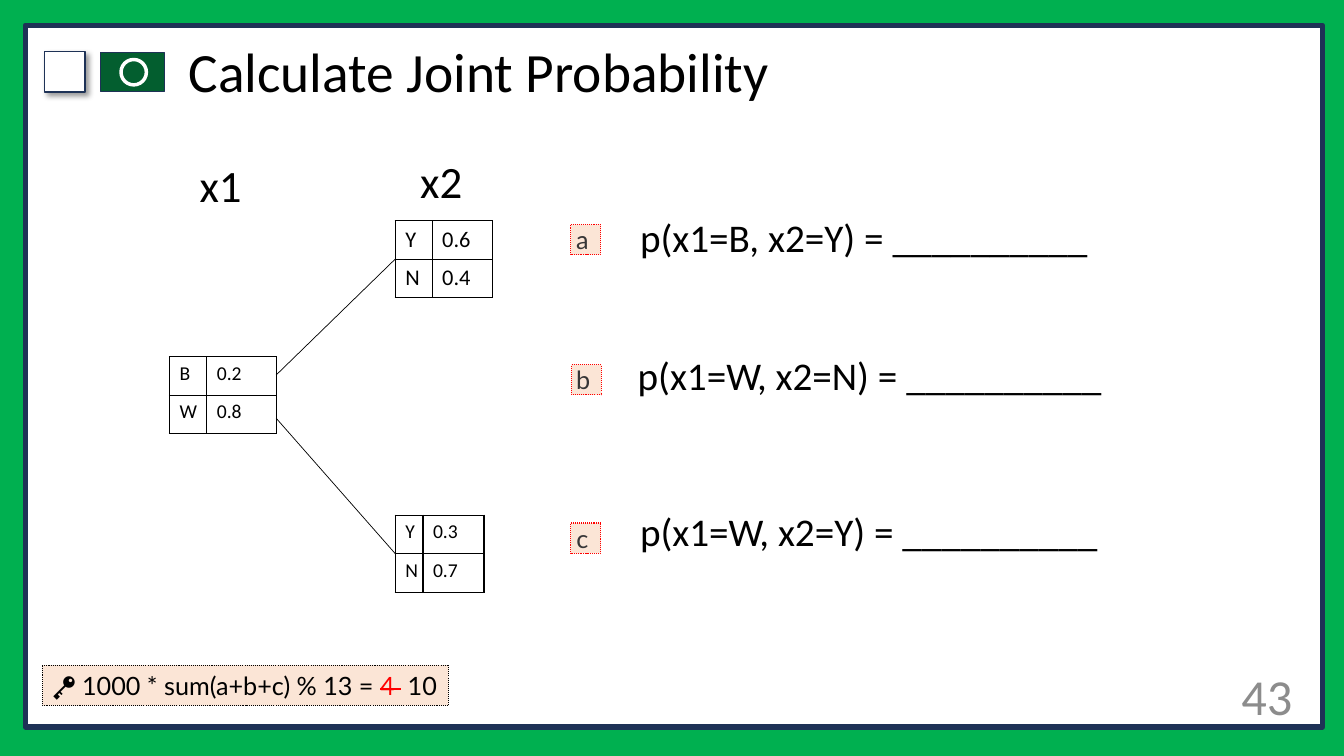
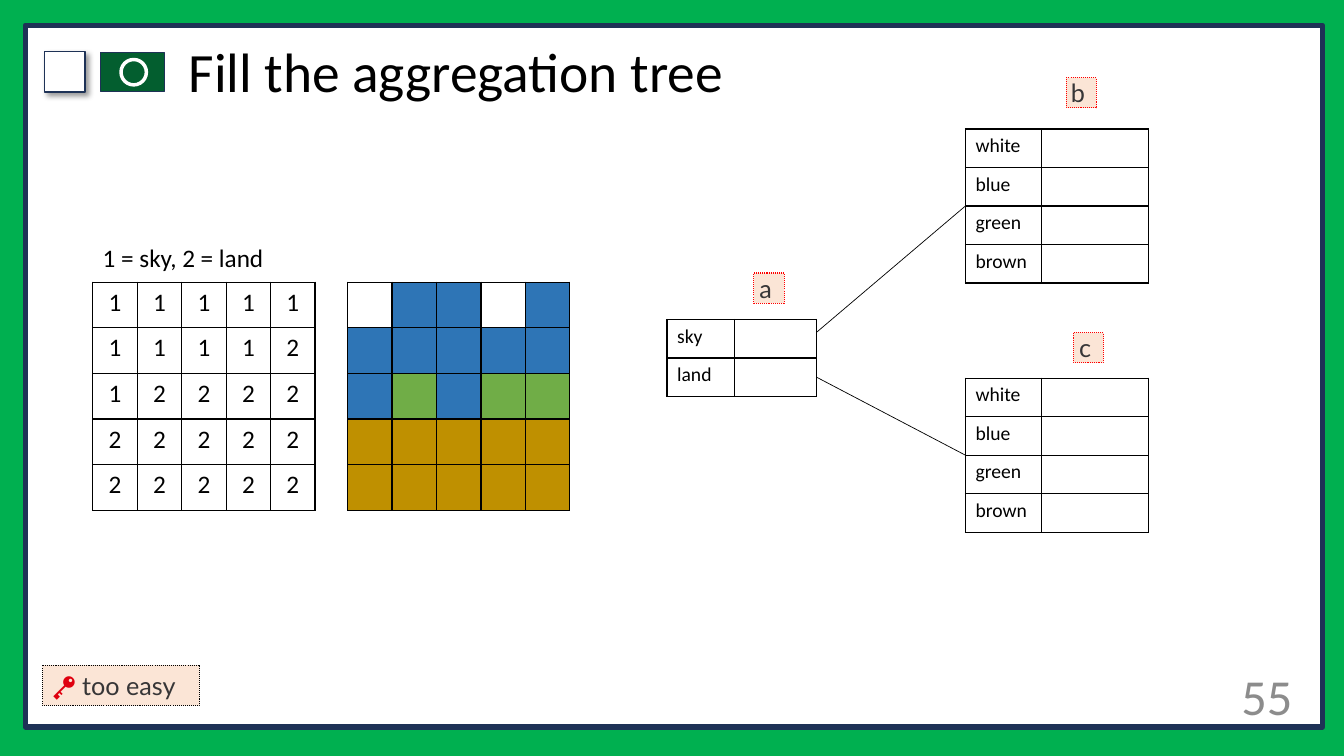
from dataclasses import dataclass

from lxml import etree
from pptx import Presentation
from pptx import util as u
from pptx.dml import color as dml_color
from pptx.enum import dml, shapes, text
from pptx.oxml import ns

COLORS = {
    "green": "00B050", "navy": "1E3256", "flag": "035E2F", "white": "FFFFFF",
    "black": "000000", "gray": "8C8C8C", "ink": "373637", "peach": "FBE5D6",
    "red": "FF0000", "key": "DF000F",
    "sky": "2E75B6", "grass": "70AD47", "soil": "BF9000",
}
BODY_FONT, TAG_FONT = "Calibri", "Lato"
ROW_HEIGHT = 0.97
TAG_SIZE = 0.76
CELL_WIDTH, CELL_HEIGHT = 1.12, 1.15
KEY = "🔑 "


@dataclass(frozen=True)
class Box:
    """A rectangle on the slide, in centimetres."""
    left: float
    top: float
    width: float
    height: float

    def lengths(self) -> list:
        return [u.Cm(n) for n in (self.left, self.top, self.width, self.height)]


@dataclass(frozen=True)
class Span:
    text: str
    color: str = "black"
    strike: bool = False


@dataclass(frozen=True)
class Grid:
    left: float
    top: float
    columns: list
    rows: list
    row_height: float = ROW_HEIGHT
    size: int = 14
    centered: bool = False
    fills: dict | None = None


@dataclass(frozen=True)
class Tag:
    letter: str
    left: float
    top: float


def rgb(name: str):
    return dml_color.RGBColor.from_string(COLORS[name])


# Text
def write(frame, content, *, size: float, font: str = BODY_FONT,
          color: str = "black", align=text.PP_ALIGN.LEFT,
          anchor=text.MSO_ANCHOR.TOP, wrap: bool = True,
          inset: float | None = None, spacing: float | None = None) -> None:
    """Write one paragraph, given as a string or as a list of spans."""
    frame.word_wrap = wrap
    frame.auto_size = text.MSO_AUTO_SIZE.NONE
    frame.vertical_anchor = anchor
    if inset is not None:
        frame.margin_left = frame.margin_right = u.Cm(inset)
        frame.margin_top = frame.margin_bottom = u.Cm(inset)
    para = frame.paragraphs[0]
    para.alignment = align
    if spacing:
        para.line_spacing = spacing
    spans = [Span(content, color)] if isinstance(content, str) else content
    for span in spans:
        run = para.add_run()
        run.text = span.text
        run.font.size = u.Pt(size)
        run.font.name = font
        run.font.color.rgb = rgb(span.color)
        if span.strike:
            run.font._element.set("strike", "sngStrike")


def add_text(slide, box: Box, content, **style) -> None:
    write(slide.shapes.add_textbox(*box.lengths()).text_frame, content, **style)


# Shapes and lines
def add_panel(slide, box: Box, fill: str, line: str, weight: float,
              kind=shapes.MSO_SHAPE.RECTANGLE, dotted: bool = False):
    panel = slide.shapes.add_shape(kind, *box.lengths())
    panel.shadow.inherit = False
    panel.fill.solid()
    panel.fill.fore_color.rgb = rgb(fill)
    panel.line.color.rgb = rgb(line)
    panel.line.width = u.Pt(weight)
    if dotted:
        panel.line.dash_style = dml.MSO_LINE.ROUND_DOT
    return panel


def add_drop_shadow(panel) -> None:
    effects = panel.element.spPr.find(ns.qn("a:effectLst"))
    shadow = etree.SubElement(effects, ns.qn("a:outerShdw"), blurRad="50800",
                              dist="38100", dir="2700000", algn="tl")
    tint = etree.SubElement(shadow, ns.qn("a:srgbClr"), val=COLORS["black"])
    etree.SubElement(tint, ns.qn("a:alpha"), val="40000")


def add_branch(slide, left: float, top: float, child) -> None:
    """Draw a line from a point to the left side of a child table."""
    branch = slide.shapes.add_connector(
        shapes.MSO_CONNECTOR.STRAIGHT, u.Cm(left), u.Cm(top), child.left, child.top)
    branch.end_connect(child, 1)
    branch.line.color.rgb = rgb("black")
    branch.line.width = u.Pt(0.5)
    etree.SubElement(branch.element.spPr, ns.qn("a:effectLst"))


def add_tags(slide, tags: list) -> None:
    for tag in tags:
        box = Box(tag.left, tag.top, TAG_SIZE, TAG_SIZE)
        panel = add_panel(slide, box, "peach", "red", 0.75, dotted=True)
        write(panel.text_frame, tag.letter + " ", size=18, font=TAG_FONT,
              color="ink", align=text.PP_ALIGN.CENTER, inset=0)


def add_answer(slide, width: float, spans: list) -> None:
    panel = add_panel(slide, Box(1.07, 16.76, width, 1.02), "peach", "black",
                      0.75, dotted=True)
    write(panel.text_frame, spans, size=18, font=TAG_FONT)


# Tables
def add_borders(cell) -> None:
    properties = cell._tc.get_or_add_tcPr()
    for side in ("lnL", "lnR", "lnT", "lnB"):
        line = etree.SubElement(properties, ns.qn(f"a:{side}"), w=str(u.Pt(1)))
        fill = etree.SubElement(line, ns.qn("a:solidFill"))
        etree.SubElement(fill, ns.qn("a:srgbClr"), val=COLORS["black"])


def add_grid(slide, grid: Grid):
    """Draw a bordered table; codes found in grid.fills become cell colours."""
    box = Box(grid.left, grid.top, sum(grid.columns),
              grid.row_height * len(grid.rows))
    holder = slide.shapes.add_table(len(grid.rows), len(grid.columns),
                                    *box.lengths())
    table = holder.table
    table.first_row = table.horz_banding = False
    for column, width in zip(table.columns, grid.columns):
        column.width = u.Cm(width)
    align = text.PP_ALIGN.CENTER if grid.centered else text.PP_ALIGN.LEFT
    for row, values in zip(table.rows, grid.rows):
        row.height = u.Cm(grid.row_height)
        for cell, value in zip(row.cells, values):
            add_borders(cell)
            if grid.fills:
                cell.fill.solid()
                cell.fill.fore_color.rgb = rgb(grid.fills[value])
            else:
                cell.fill.background()
            if value and not grid.fills:
                write(cell.text_frame, value, size=grid.size, align=align)
            else:
                para = cell.text_frame.paragraphs[0]
                etree.SubElement(para._p, ns.qn("a:endParaRPr"),
                                 sz=str(grid.size * 100))
    return holder


# Shared look
def dress_layout(layout, slide) -> None:
    """Give the layout its background, title place, frame and badge."""
    layout.background.fill.solid()
    layout.background.fill.fore_color.rgb = rgb("green")
    for holder in list(layout.placeholders):
        if holder.placeholder_format.type == shapes.PP_PLACEHOLDER.TITLE:
            title_box = Box(4.5, 1.02, 27.05, 1.73)
            holder.left, holder.top, holder.width, holder.height = title_box.lengths()
        else:
            holder.element.getparent().remove(holder.element)
    frame = add_panel(slide, Box(0.64, 0.64, 32.69, 17.68), "white", "navy", 4)
    checkbox = add_panel(slide, Box(1.12, 1.3, 1.02, 1.02), "white", "navy", 1)
    add_drop_shadow(checkbox)
    flag = add_panel(slide, Box(2.54, 1.32, 1.6, 0.99), "flag", "navy", 1)
    ring = add_panel(slide, Box(3.05, 1.5, 0.64, 0.64), "flag", "white", 2.5,
                     kind=shapes.MSO_SHAPE.OVAL)
    for part in (frame, checkbox, flag, ring):
        layout.shapes.element.append(part.element)


def add_heading(slide, title: str, number: str) -> None:
    write(slide.shapes.title.text_frame, title, size=39.6, spacing=0.9,
          anchor=text.MSO_ANCHOR.MIDDLE)
    add_text(slide, Box(29.64, 16.43, 3.18, 2.18), number, size=36, color="gray",
             align=text.PP_ALIGN.RIGHT, anchor=text.MSO_ANCHOR.MIDDLE)


# Slides
def build_probability(slide) -> None:
    add_heading(slide, "Calculate Joint Probability", "43")
    upper = add_grid(slide, Grid(9.96, 5.56, [0.93, 1.53],
                                 [("Y", "0.6"), ("N", "0.4")], size=16))
    lower = add_grid(slide, Grid(9.96, 12.98, [0.7, 1.54],
                                 [("Y", "0.3"), ("N", "0.7")]))
    add_grid(slide, Grid(4.27, 8.99, [0.94, 1.75], [("B", "0.2"), ("W", "0.8")]))
    add_branch(slide, 6.96, 9.45, upper)
    add_branch(slide, 6.96, 10.54, lower)

    for name, left, top in (("x1", 4.78, 3.86), ("x2", 10.34, 3.76)):
        add_text(slide, Box(left, top, 1.57, 1.63), name, size=32, wrap=False)
    for question, left, top in (("p(x1=B, x2=Y)", 15.88, 5.26),
                                ("p(x1=W, x2=N)", 15.82, 8.74),
                                ("p(x1=W, x2=Y)", 15.88, 12.67)):
        add_text(slide, Box(left, top, 14.5, 1.45), f"{question} = __________",
                 size=28)
    add_tags(slide, [Tag("a", 14.38, 5.66), Tag("b", 14.4, 9.19),
                     Tag("c", 14.38, 13.18)])
    add_answer(slide, 10.24, [Span(KEY + "1000 * sum(a+b+c) % 13 = "),
                              Span("4 ", "red", strike=True), Span(" 10")])


def build_aggregation(slide) -> None:
    add_heading(slide, "Fill the aggregation tree", "55")
    color_rows = [(name, "") for name in ("white", "blue", "green", "brown")]
    upper, lower = [add_grid(slide, Grid(24.33, top, [1.92, 2.7], color_rows))
                    for top in (3.25, 9.53)]
    add_grid(slide, Grid(16.81, 8.05, [1.71, 2.05], [("sky", ""), ("land", "")]))
    add_branch(slide, 20.57, 8.38, upper)
    add_branch(slide, 20.57, 9.5, lower)

    # Label grid and colour grid
    columns = [CELL_WIDTH] * 5
    labels = ["11111", "11112", "12222", "22222", "22222"]
    pixels = ["WSSWS", "SSSSS", "SGSGG", "BBBBB", "BBBBB"]
    fills = {"W": "white", "S": "sky", "G": "grass", "B": "soil"}
    add_grid(slide, Grid(2.34, 7.11, columns, labels, CELL_HEIGHT, 18, True))
    add_grid(slide, Grid(8.76, 7.11, columns, pixels, CELL_HEIGHT, 18, fills=fills))
    add_text(slide, Box(2.34, 5.99, 4.62, 1.02), "1 = sky, 2 = land", size=18,
             wrap=False)
    add_tags(slide, [Tag("a", 19, 6.88), Tag("b", 26.87, 1.96),
                     Tag("c", 27.05, 8.38)])
    add_answer(slide, 3.96, [Span(KEY, "key"), Span("too easy", "ink")])


def main() -> None:
    deck = Presentation()
    deck.slide_width, deck.slide_height = u.Cm(33.87), u.Cm(19.05)
    layout = deck.slide_layouts.get_by_name("Title Only")
    for position, build in enumerate((build_probability, build_aggregation)):
        slide = deck.slides.add_slide(layout)
        if position == 0:
            dress_layout(layout, slide)
        build(slide)
    deck.save("out.pptx")


if __name__ == "__main__":
    main()
